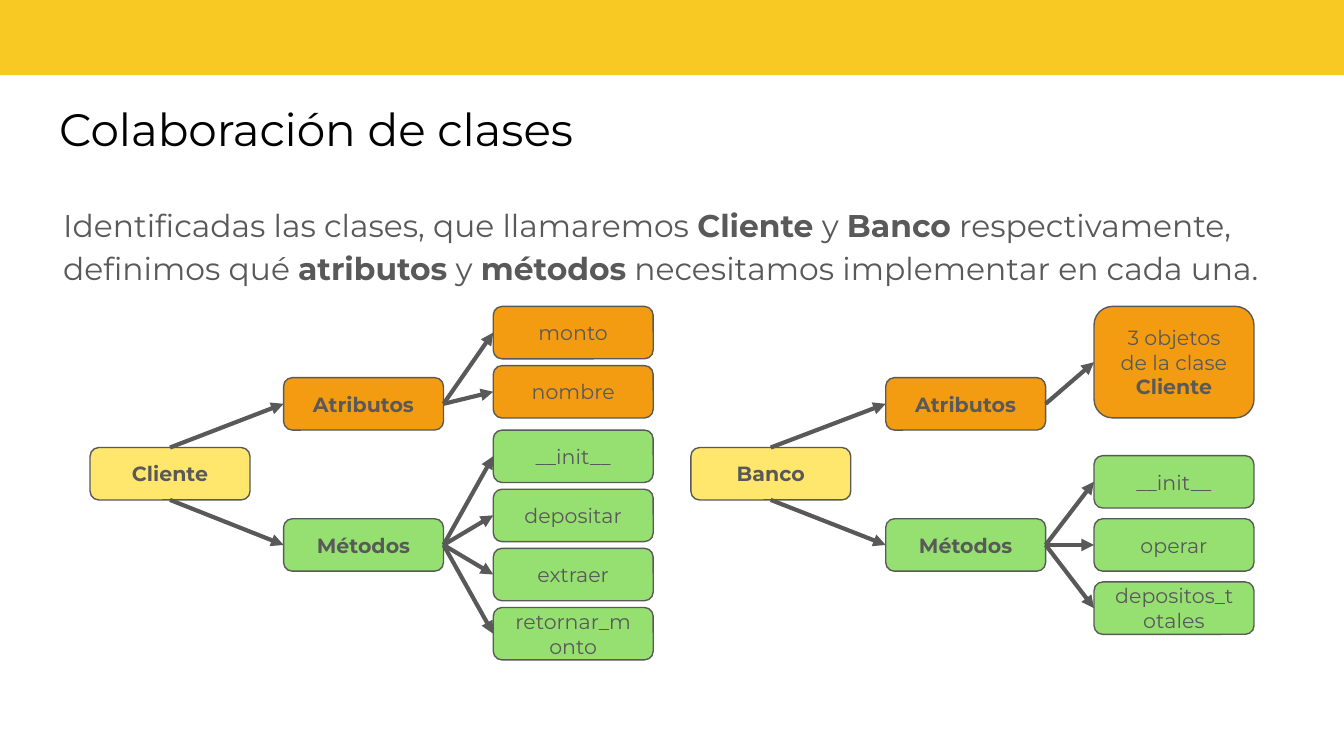
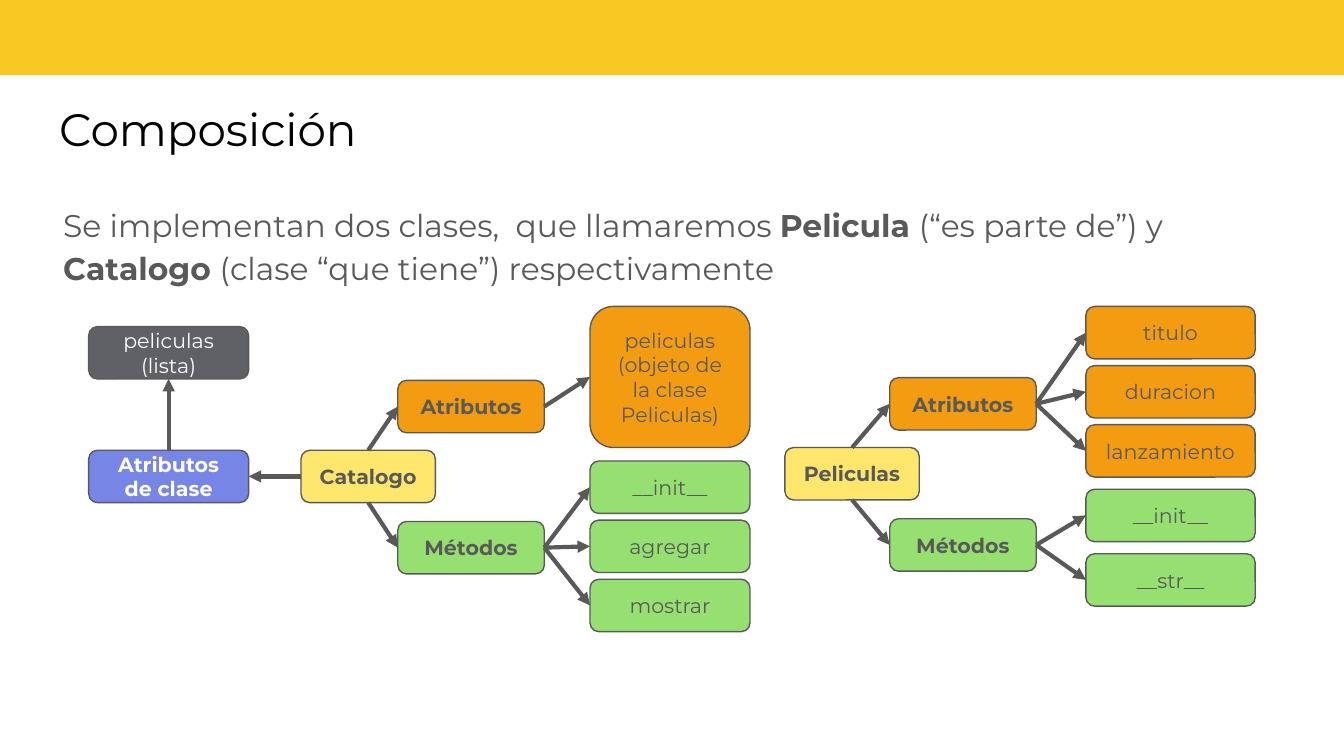
from dataclasses import dataclass

from pptx import Presentation
from pptx.dml.color import RGBColor
from pptx.enum.shapes import MSO_CONNECTOR, MSO_SHAPE
from pptx.enum.text import MSO_ANCHOR, MSO_AUTO_SIZE, PP_ALIGN
from pptx.oxml.ns import qn
from pptx.util import Inches, Pt

RECT, NODE = MSO_SHAPE.RECTANGLE, MSO_SHAPE.FLOWCHART_ALTERNATE_PROCESS
STRAIGHT = MSO_CONNECTOR.STRAIGHT
TOP, MIDDLE = MSO_ANCHOR.TOP, MSO_ANCHOR.MIDDLE
LEFT, CENTER = PP_ALIGN.LEFT, PP_ALIGN.CENTER
NO_FIT = MSO_AUTO_SIZE.NONE
SITE_TOP, SITE_LEFT, SITE_BOTTOM, SITE_RIGHT = range(4)
TITLE_ONLY = 5


@dataclass(frozen=True)
class Theme:
    """Colours, type sizes and line widths of the deck."""
    font: str = "Montserrat"
    band: str = "F8C823"
    black: str = "000000"
    white: str = "FFFFFF"
    grey: str = "595959"
    yellow: str = "FFE66D"
    orange: str = "F39C12"
    green: str = "96E072"
    blue: str = "7685E6"
    dark: str = "5F6167"
    title_size: float = 24.3
    body_size: float = 16.8
    node_size: float = 11
    outline: float = 0.75
    arrow: float = 2.25


@dataclass(frozen=True)
class Leaves:
    """A column of member boxes: texts, first top, pitch and box height."""
    texts: tuple
    top: float
    pitch: float = 0.44
    height: float = 0.39


@dataclass(frozen=True)
class ClassTree:
    """A class with its attributes and methods in three columns."""
    name: str
    lefts: tuple
    widths: tuple
    top: float
    attributes: Leaves
    methods: Leaves


THEME = Theme()
NODE_HEIGHT = 0.39
BRANCH_UP, BRANCH_DOWN = -0.52, 0.53


def color(value):
    """Turn a hex string into a colour."""
    return RGBColor.from_string(value)


def set_attrs(obj, values):
    """Set every attribute named in a dict."""
    for name, value in values.items():
        setattr(obj, name, value)


def write_text(tf, text, size, ink, frame, para):
    """Fill a text frame; ** toggles bold and a newline starts a paragraph."""
    set_attrs(tf, {"word_wrap": True, "auto_size": NO_FIT, **frame})
    for i, line in enumerate(text.split("\n")):
        p = tf.add_paragraph() if i else tf.paragraphs[0]
        set_attrs(p, para)
        for j, part in enumerate(line.split("**")):
            if part:
                r = p.add_run()
                r.text = part
                set_attrs(r.font, {"name": THEME.font, "size": Pt(size),
                                   "bold": j % 2 == 1})
                r.font.color.rgb = color(ink)


def margins(x, y):
    """Give equal side margins and equal top and bottom margins."""
    return {"margin_left": Inches(x), "margin_right": Inches(x),
            "margin_top": Inches(y), "margin_bottom": Inches(y)}


def add_box(slide, kind, at, fill):
    """Add a filled preset shape without shadow or outline."""
    sp = slide.shapes.add_shape(kind, *map(Inches, at))
    sp.shadow.inherit = False
    sp.fill.solid()
    sp.fill.fore_color.rgb = color(fill)
    sp.line.fill.background()
    return sp


def add_node(slide, text, at, fill, ink=THEME.grey):
    """Add an outlined diagram box with centred text."""
    sp = add_box(slide, NODE, at, fill)
    sp.line.color.rgb = color(THEME.grey)
    sp.line.width = Pt(THEME.outline)
    write_text(sp.text_frame, text, THEME.node_size, ink,
               {"vertical_anchor": MIDDLE, **margins(0.1, 0.05)},
               {"alignment": CENTER})
    return sp


def add_arrow(slide, start, start_site, end, end_site):
    """Join two nodes with a straight arrow."""
    cx = slide.shapes.add_connector(STRAIGHT, 0, 0, 0, 0)
    cx.begin_connect(start, start_site)
    cx.end_connect(end, end_site)
    cx.line.color.rgb = color(THEME.grey)
    cx.line.width = Pt(THEME.arrow)
    ln = cx.line._get_or_add_ln()
    ln.append(ln.makeelement(qn("a:tailEnd"), {"type": "triangle"}))
    sp_pr = cx._element.spPr
    sp_pr.append(sp_pr.makeelement(qn("a:effectLst"), {}))


def add_tree(slide, tree):
    """Draw a class tree and return its root node."""
    root_x, branch_x, leaf_x = tree.lefts
    root_w, branch_w, leaf_w = tree.widths
    root = add_node(slide, f"**{tree.name}**",
                    (root_x, tree.top, root_w, NODE_HEIGHT), THEME.yellow)
    branches = (
        ("Atributos", BRANCH_UP, SITE_TOP, THEME.orange, tree.attributes),
        ("Métodos", BRANCH_DOWN, SITE_BOTTOM, THEME.green, tree.methods),
    )
    for label, offset, site, fill, leaves in branches:
        branch = add_node(slide, f"**{label}**",
                          (branch_x, tree.top + offset, branch_w, NODE_HEIGHT), fill)
        add_arrow(slide, root, site, branch, SITE_LEFT)
        for i, text in enumerate(leaves.texts):
            top = leaves.top + i * leaves.pitch
            leaf = add_node(slide, text, (leaf_x, top, leaf_w, leaves.height), fill)
            add_arrow(slide, branch, SITE_RIGHT, leaf, SITE_LEFT)
    return root


def add_class_attributes(slide, root):
    """Draw the class attribute branch to the left of a root node."""
    left, width = 0.66, 1.19
    label = add_node(slide, "**Atributos de clase**",
                     (left, 3.35, width, NODE_HEIGHT), THEME.blue, THEME.white)
    member = add_node(slide, "peliculas\n(lista)",
                      (left, 2.43, width, NODE_HEIGHT), THEME.dark, THEME.white)
    add_arrow(slide, root, SITE_LEFT, label, SITE_RIGHT)
    add_arrow(slide, label, SITE_TOP, member, SITE_BOTTOM)


def add_slide(prs, title, intro):
    """Add a slide with the top band, title and introduction."""
    slide = prs.slides.add_slide(prs.slide_layouts[TITLE_ONLY])
    add_box(slide, RECT, (-0.01, -0.05, 10.03, 0.61), THEME.band)
    sp = slide.shapes.title
    set_attrs(sp, {"left": Inches(0.34), "top": Inches(0.65),
                   "width": Inches(9.3), "height": Inches(0.63)})
    write_text(sp.text_frame, title, THEME.title_size, THEME.black,
               {"vertical_anchor": TOP, **margins(0.1, 0.1)}, {"alignment": LEFT})
    body = slide.shapes.add_textbox(*map(Inches, (0.47, 1.39, 9.05, 3.58)))
    write_text(body.text_frame, intro, THEME.body_size, THEME.grey,
               {"vertical_anchor": TOP, **margins(0, 0.1)},
               {"alignment": LEFT, "line_spacing": 1.15, "space_before": Pt(12)})
    return slide


def add_collaboration(prs):
    """Build the slide on collaborating classes."""
    slide = add_slide(
        prs, "Colaboración de clases",
        "Identificadas las clases, que llamaremos **Cliente** y **Banco** "
        "respectivamente, definimos qué **atributos** y **métodos** "
        "necesitamos implementar en cada una.")
    widths = (1.19, 1.19, 1.19)
    add_tree(slide, ClassTree(
        "Cliente", (0.67, 2.11, 3.67), widths, 3.33,
        Leaves(("monto", "nombre"), 2.28),
        Leaves(("__init__", "depositar", "extraer", "retornar_monto"), 3.2)))
    add_tree(slide, ClassTree(
        "Banco", (5.14, 6.59, 8.14), widths, 3.33,
        Leaves(("3 objetos de la clase **Cliente**",), 2.28, height=0.83),
        Leaves(("__init__", "operar", "depositos_totales"), 3.39, 0.47)))


def add_composition(prs):
    """Build the slide on composition."""
    slide = add_slide(
        prs, "Composición",
        "Se implementan dos clases,  que llamaremos **Pelicula **(“es parte de”) y "
        "**Catalogo **(clase “que tiene”) respectivamente")
    root = add_tree(slide, ClassTree(
        "Catalogo", (2.24, 2.96, 4.39), (1, 1.09, 1.19), 3.35,
        Leaves(("peliculas\n(objeto de la clase Peliculas)",), 2.28, height=1.05),
        Leaves(("__init__", "agregar", "mostrar"), 3.43)))
    add_class_attributes(slide, root)
    add_tree(slide, ClassTree(
        "Peliculas", (5.84, 6.62, 8.08), (1, 1.09, 1.26), 3.33,
        Leaves(("titulo", "duracion", "lanzamiento"), 2.28),
        Leaves(("__init__", "__str__"), 3.64, 0.48)))


def main():
    """Build and save the presentation."""
    prs = Presentation()
    width = Inches(10)
    set_attrs(prs, {"slide_width": width, "slide_height": width * 9 // 16})
    add_collaboration(prs)
    add_composition(prs)
    prs.save("out.pptx")


if __name__ == "__main__":
    main()
